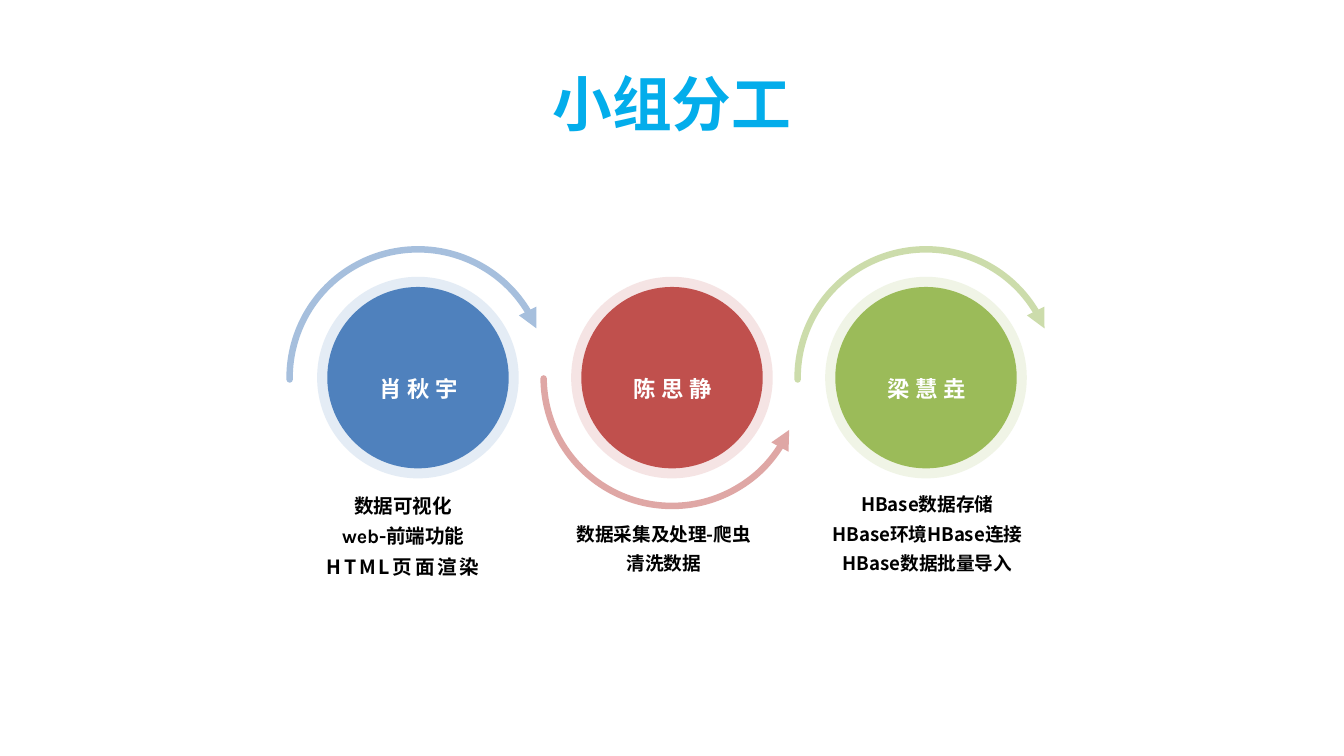
from dataclasses import dataclass

from lxml.etree import SubElement
from pptx import Presentation
from pptx.dml.color import RGBColor
from pptx.enum.shapes import MSO_SHAPE as Shape
from pptx.enum.text import MSO_ANCHOR as Anchor, PP_ALIGN as Align
from pptx.oxml.ns import qn
from pptx.util import Inches, Pt


@dataclass(frozen=True)
class Theme:
    latin: str = "Karla"
    cjk: str = "Noto Sans CJK JP"
    title: str = "03ADEB"
    body: str = "000000"
    light: str = "FFFFFF"
    blue: str = "4F81BD"
    red: str = "C0504D"
    green: str = "9BBB59"
    title_size: float = 32
    name_size: float = 12
    arc_width: float = 3.5


class TeamSlide:
    def __init__(self, deck, theme):
        self.theme = theme
        self.page = deck.slides.add_slide(deck.slide_layouts[5])

    def style_span(self, span, font, size, color, spacing=0):
        span.font.name, span.font.size, span.font.bold = font, Pt(size), True
        span.font.color.rgb = RGBColor.from_string(color)
        properties = span.font._element
        SubElement(properties, qn("a:ea")).set("typeface", self.theme.cjk)
        if spacing:
            properties.set("spc", str(int(spacing * 100)))

    def set_margins(self, frame, margin):
        frame.margin_left = frame.margin_right = Inches(margin)
        frame.margin_top = frame.margin_bottom = Inches(margin)

    def set_alpha(self, fill_parent, percent):
        color = fill_parent.find(qn("a:solidFill")).find(qn("a:srgbClr"))
        SubElement(color, qn("a:alpha")).set("val", str(percent * 1000))

    def title(self, text):
        box = self.page.shapes.title
        box.left, box.top = Inches(0.5), Inches(0.5)
        box.width, box.height = Inches(9), Inches(0.58)
        frame = box.text_frame
        frame.text = text
        frame.vertical_anchor = Anchor.TOP
        self.set_margins(frame, 0)
        para = frame.paragraphs[0]
        para.alignment = Align.CENTER
        self.style_span(para.runs[0], self.theme.latin,
                        self.theme.title_size, self.theme.title)

    def text(self, left, top, width, height, lines, size, color,
             margin=0, line_spacing=None):
        """Each line is (text, font, letter spacing)."""
        box = self.page.shapes.add_textbox(
            Inches(left), Inches(top), Inches(width), Inches(height))
        frame = box.text_frame
        frame.word_wrap = True
        self.set_margins(frame, margin)
        frame.text = "\n".join(words for words, _, _ in lines)
        for para, (_, font, spacing) in zip(frame.paragraphs, lines):
            para.alignment = Align.CENTER
            if line_spacing:
                para.line_spacing = line_spacing
            self.style_span(para.runs[0], font, size, color, spacing)

    def round_shape(self, kind, center_x, center_y, size):
        shape = self.page.shapes.add_shape(
            kind, Inches(center_x - size / 2), Inches(center_y - size / 2),
            Inches(size), Inches(size))
        shape.shadow.inherit = False
        return shape

    def circle(self, center_x, center_y, size, color, alpha=100):
        shape = self.round_shape(Shape.OVAL, center_x, center_y, size)
        shape.fill.solid()
        shape.fill.fore_color.rgb = RGBColor.from_string(color)
        shape.line.fill.background()
        if alpha < 100:
            self.set_alpha(shape._element.spPr, alpha)

    def arc_arrow(self, center_x, center_y, size, color, angles, arrow_end):
        shape = self.round_shape(Shape.ARC, center_x, center_y, size)
        shape.adjustments[0], shape.adjustments[1] = angles
        shape._element.spPr.find(qn("a:xfrm")).set("flipV", "1")
        shape.fill.background()
        shape.line.color.rgb = RGBColor.from_string(color)
        shape.line.width = Pt(self.theme.arc_width)
        line = shape.line._get_or_add_ln()
        line.set("cap", "rnd")
        self.set_alpha(line, 50)
        SubElement(line, qn("a:round"))
        SubElement(line, qn(arrow_end)).set("type", "triangle")

    def member(self, center_x, name, color, angles, arrow_end):
        center_y = 2.81
        self.circle(center_x, center_y, 1.5, color, alpha=15)
        self.circle(center_x, center_y, 1.35, color)
        self.arc_arrow(center_x, center_y, 1.91, color, angles, arrow_end)
        self.text(center_x - 0.56, 2.76, 1.13, 0.42,
                  [(name, self.theme.cjk, 3)], self.theme.name_size,
                  self.theme.light, margin=0.03)

    def duties(self, left, top, lines, size):
        self.text(left, top, 1.7, 1.07, lines, size, self.theme.body,
                  line_spacing=1.3)


def main():
    deck = Presentation()
    deck.slide_width = Inches(10)
    deck.slide_height = deck.slide_width * 9 // 16
    theme = Theme()
    slide = TeamSlide(deck, theme)
    slide.title("小组分工")

    # Members: arcs alternate over and under the circles
    over = ((13.53, 108.49), "a:headEnd")
    under = ((108.23, 201.58), "a:tailEnd")
    members = [
        ("肖秋宇", theme.blue, over),
        ("陈思静", theme.red, under),
        ("梁慧垚", theme.green, over),
    ]
    for index, (name, color, (angles, arrow_end)) in enumerate(members):
        slide.member(3.11 + 1.89 * index, name, color, angles, arrow_end)

    # Duties below each member
    slide.duties(2.15, 3.62, [
        ("数据可视化", theme.latin, 0),
        ("web-前端功能", theme.latin, 0),
        ("HTML页面渲染", theme.cjk, 1.5),
    ], 10.5)
    slide.duties(4.09, 3.84, [
        ("数据采集及处理-爬虫", theme.cjk, 0),
        ("清洗数据", theme.cjk, 0),
    ], 10)
    slide.duties(6.05, 3.62, [
        ("HBase数据存储", theme.cjk, 0),
        ("HBase环境HBase连接", theme.cjk, 0),
        ("HBase数据批量导入", theme.cjk, 0),
    ], 10)

    deck.save("out.pptx")


if __name__ == "__main__":
    main()
